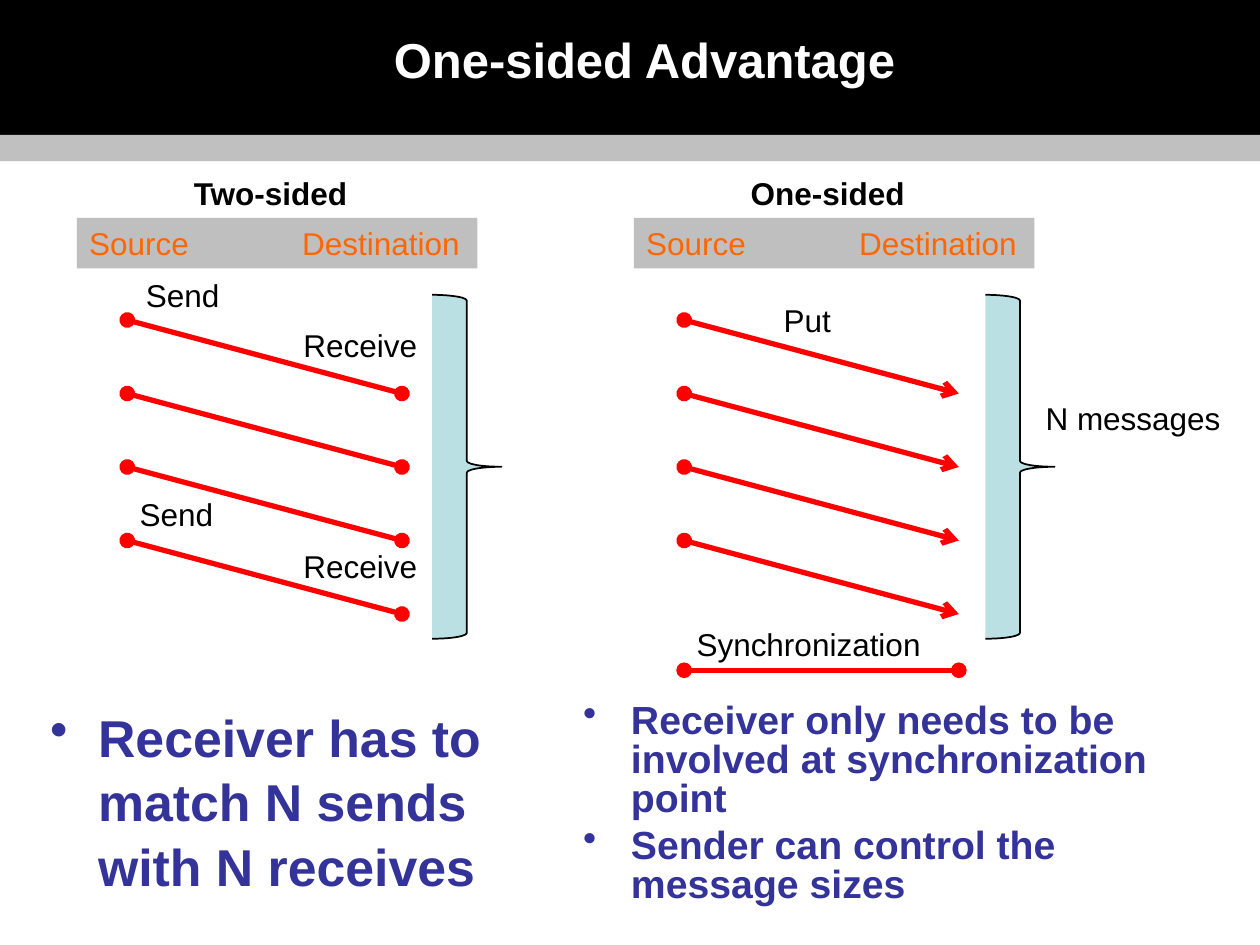
from dataclasses import dataclass
from lxml import etree
from pptx import Presentation
from pptx.dml.color import RGBColor
from pptx.enum.shapes import MSO_CONNECTOR, MSO_SHAPE
from pptx.enum.text import MSO_ANCHOR, PP_ALIGN
from pptx.oxml.ns import qn
from pptx.util import Inches, Pt

RECT, BRACE = MSO_SHAPE.RECTANGLE, MSO_SHAPE.RIGHT_BRACE
STRAIGHT = MSO_CONNECTOR.STRAIGHT
MIDDLE, TOP = MSO_ANCHOR.MIDDLE, MSO_ANCHOR.TOP
CENTER, LEFT = PP_ALIGN.CENTER, PP_ALIGN.LEFT


@dataclass
class Theme:
    """Colours, font and type sizes of the slide."""
    font: str = "Arial"
    black: str = "000000"
    white: str = "FFFFFF"
    band: str = "C0C0C0"
    header: str = "BFBFBF"
    orange: str = "FF6600"
    red: str = "FF0000"
    brace: str = "BBE0E3"
    navy: str = "333399"
    title_size: float = 28
    label_size: float = 18
    large_size: float = 29.6
    small_size: float = 22.4


THEME = Theme()
WIDTH, HEIGHT = 10, 7.5
FIRST_ROW, ROW_STEP, MESSAGES = 2.54, 7 / 12, 4
LINE_START, LINE_END = 0.4, 2.58
LABEL_HEIGHT = 0.4

TITLE = "One-sided Advantage"
HEADER = "Source\tDestination"
# Labels: text, offset from the panel's left edge, top, width
PANELS = [
    dict(name="Two-sided", left=0.61, brace=3.43, tail="oval",
         labels=[("Send", 0.45, 2.14, 0.79), ("Receive", 1.7, 2.54, 1.11),
                 ("Send", 0.4, 3.88, 0.79), ("Receive", 1.7, 4.29, 1.11)]),
    dict(name="One-sided", left=5.03, brace=7.82, tail="arrow",
         labels=[("Put", 1.09, 2.34, 0.58), ("N messages", 3.17, 3.12, 1.6),
                 ("Synchronization", 0.4, 4.91, 2)]),
]
SYNC_ROW = 5.32
BULLETS = [
    dict(at=(0.3, 5.53, 3.68, 1.44), size=THEME.large_size, spacing=1.04,
         lines=["Receiver has to match N sends with N receives"]),
    dict(at=(4.53, 5.53, 5.27, 1.7), size=THEME.small_size, spacing=0.83,
         lines=["Receiver only needs to be involved at synchronization point",
                "Sender can control the message sizes"]),
]


def color(value):
    """Turn a hex string into a colour."""
    return RGBColor.from_string(value)


def add_block(page, kind, at, fill, line=None):
    """Add a filled preset shape, outlined only if a line colour is given."""
    block = page.shapes.add_shape(kind, *map(Inches, at))
    block.shadow.inherit = False
    block.fill.solid()
    block.fill.fore_color.rgb = color(fill)
    if line:
        block.line.color.rgb = color(line)
        block.line.width = Pt(1)
    else:
        block.line.fill.background()
    return block


def write(box, *lines, size=THEME.label_size, ink=THEME.black, bold=False,
          align=LEFT, anchor=TOP, wrap=False, spacing=None, bullet=None, tab=None):
    """Write one paragraph per line into a shape."""
    frame = box.text_frame
    frame.word_wrap, frame.vertical_anchor = wrap, anchor
    for index, line in enumerate(lines):
        para = frame.add_paragraph() if index else frame.paragraphs[0]
        para.alignment = align
        if spacing:
            para.line_spacing = spacing
        span = para.add_run()
        span.text = line
        span.font.name, span.font.size, span.font.bold = THEME.font, Pt(size), bold
        span.font.color.rgb = color(ink)
        props = para._p.get_or_add_pPr()
        if bullet:
            para.space_before = Pt(size * 0.2)
            props.set("marL", str(Inches(0.38)))
            props.set("indent", str(-Inches(0.38)))
            etree.SubElement(props, qn("a:buChar"), char=bullet)
        if tab:
            stops = etree.SubElement(props, qn("a:tabLst"))
            etree.SubElement(stops, qn("a:tab"), pos=str(Inches(tab)), algn="l")


def add_label(page, text, at, **style):
    """Add a text box."""
    write(page.shapes.add_textbox(*map(Inches, at)), text, **style)


def add_message(page, left, top, bottom, tail):
    """Draw a message line from source to destination."""
    ends = (left + LINE_START, top, left + LINE_END, bottom)
    message = page.shapes.add_connector(STRAIGHT, *map(Inches, ends))
    message.line.color.rgb = color(THEME.red)
    message.line.width = Pt(3)
    outline = message.line._get_or_add_ln()
    etree.SubElement(outline, qn("a:headEnd"), type="oval")
    etree.SubElement(outline, qn("a:tailEnd"), type=tail)
    etree.SubElement(message._element.spPr, qn("a:effectLst"))


def add_panel(page, name, left, brace, tail, labels):
    """Draw one communication diagram."""
    header = add_block(page, RECT, (left, 1.73, 3.18, LABEL_HEIGHT), THEME.header)
    write(header, HEADER, ink=THEME.orange, wrap=True, anchor=MIDDLE, tab=1.69)
    add_label(page, name, (left + 0.83, 1.33, 1.43, LABEL_HEIGHT), bold=True)
    for row in range(MESSAGES):
        top = FIRST_ROW + row * ROW_STEP
        add_message(page, left, top, top + ROW_STEP, tail)
    add_block(page, BRACE, (brace, 2.34, 0.55, 2.73), THEME.brace, THEME.black)
    for text, offset, top, width in labels:
        add_label(page, text, (left + offset, top, width, LABEL_HEIGHT))


def build():
    """Build and save the slide."""
    deck = Presentation()
    deck.slide_width, deck.slide_height = Inches(WIDTH), Inches(HEIGHT)
    page = deck.slides.add_slide(deck.slide_layouts[6])
    add_block(page, RECT, (0, 0, WIDTH, 1.17), THEME.black)
    add_block(page, RECT, (0, 1.07, WIDTH, 0.21), THEME.band)
    add_label(page, TITLE, (1.85, 0, 6.53, 0.94), size=THEME.title_size, ink=THEME.white,
              bold=True, align=CENTER, anchor=MIDDLE, wrap=True)
    for panel in PANELS:
        add_panel(page, **panel)
    add_message(page, PANELS[1]["left"], SYNC_ROW, SYNC_ROW, "oval")
    for group in BULLETS:
        box = page.shapes.add_textbox(*map(Inches, group["at"]))
        write(box, *group["lines"], size=group["size"], spacing=group["spacing"],
              ink=THEME.navy, bold=True, wrap=True, bullet="•")
    deck.save("out.pptx")


build()
